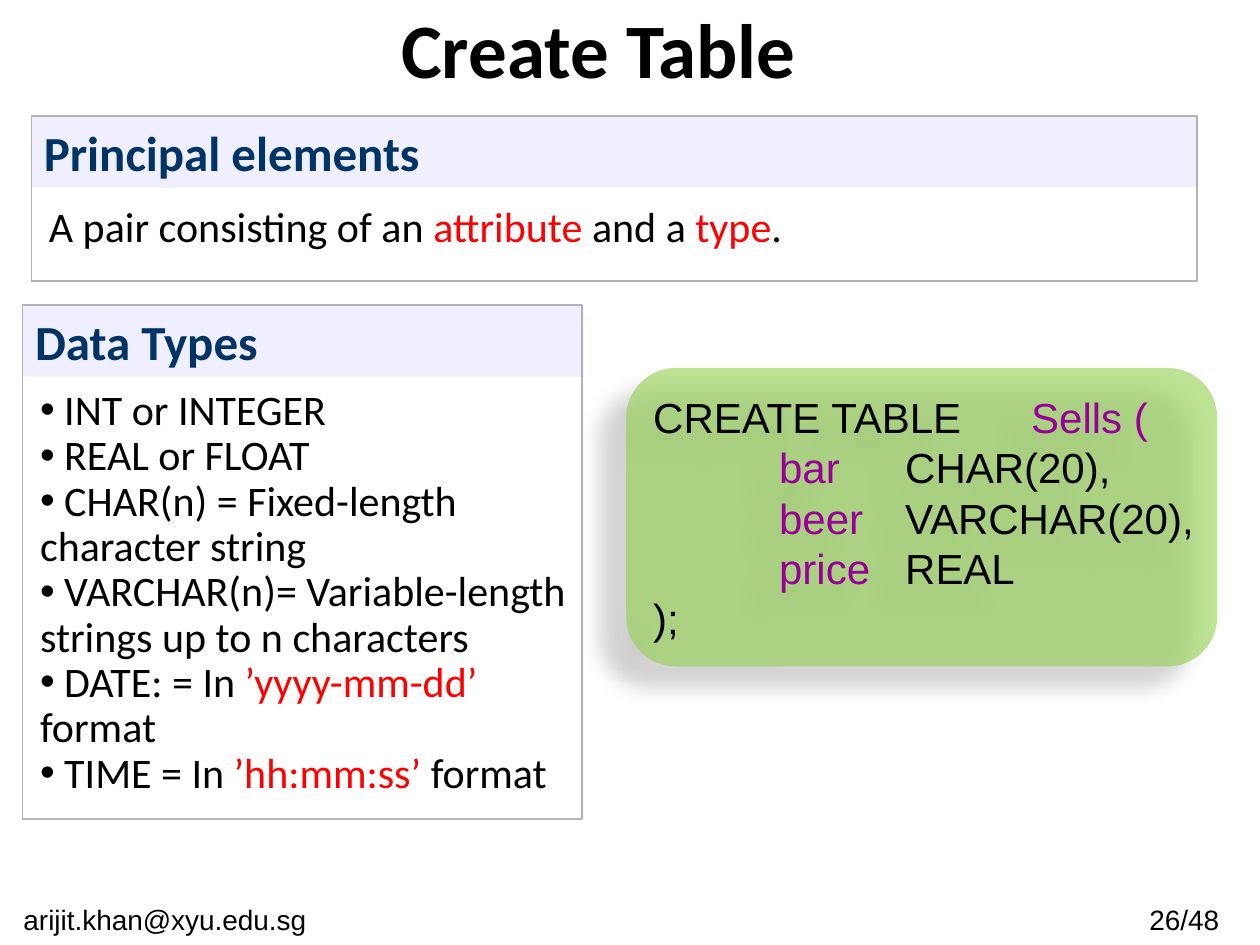
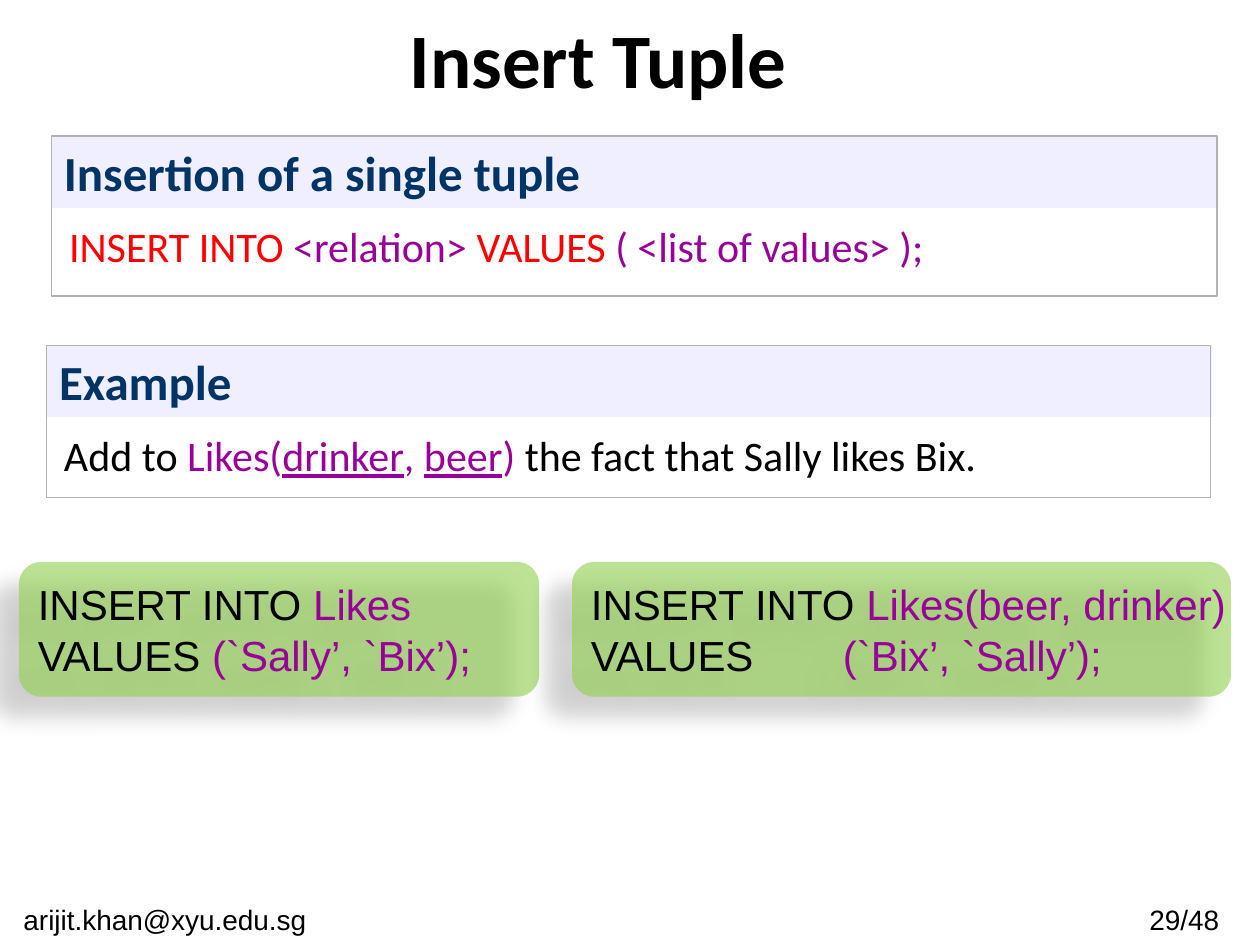
from lxml.etree import SubElement
from pptx import Presentation
from pptx.dml.color import RGBColor
from pptx.enum.shapes import MSO_SHAPE as Shape
from pptx.enum.text import MSO_ANCHOR as Anchor, PP_ALIGN as Align
from pptx.oxml.ns import qn
from pptx.util import Inches, Pt

WIDTH, HEIGHT = Inches(10), Inches(7.5)
COLUMNS, ROWS = 100, 75
BLACK, RED, PURPLE, NAVY = "000000", "FF0000", "990099", "003366"
LAVENDER, GREY, GREEN = "EFEFFF", "B2B2B2", "92D050"
HEADING_FONT, CODE_FONT = "Calibri", "Arial"
HEADER_ROWS, BODY_OFFSET = 5.7, 6.2
CODE_TABS = (10, 20, 30)
CONTACT = "arijit.khan@xyu.edu.sg "
PAGE_COUNT = 48


def rgb(value):
    """Turn a hex string into a colour."""
    return RGBColor.from_string(value)


def area(left, top, columns, rows):
    """Turn grid columns and rows into slide lengths."""
    column, row = WIDTH / COLUMNS, HEIGHT / ROWS
    return [round(n) for n in (left * column, top * row, columns * column, rows * row)]


def add_xml(parent, tag, **attributes):
    """Append a drawing element with its attributes."""
    return SubElement(parent, qn(tag), {key: str(value) for key, value in attributes.items()})


def write(frame, paragraphs, size=24, font=HEADING_FONT, color=BLACK, bold=False,
          align=Align.LEFT, anchor=Anchor.TOP, wrap=True, spacing=None, bullet=None,
          tabs=()):
    """Write paragraphs of runs, each a string or (string, colour, underline)."""
    frame.word_wrap, frame.vertical_anchor = wrap, anchor
    for index, runs in enumerate(paragraphs):
        paragraph = frame.paragraphs[0] if index == 0 else frame.add_paragraph()
        paragraph.alignment = align
        if spacing:
            paragraph.line_spacing = spacing
        properties = paragraph._p.get_or_add_pPr()
        if bullet:
            add_xml(properties, "a:buFont", typeface=CODE_FONT)
            add_xml(properties, "a:buChar", char=bullet)
        if tabs:
            stops = add_xml(properties, "a:tabLst")
            for column in tabs:
                add_xml(stops, "a:tab", pos=round(column * WIDTH / COLUMNS), algn="l")
        for piece in runs:
            words, tint, *underline = (piece, color) if isinstance(piece, str) else piece
            run = paragraph.add_run()
            run.text = words
            run.font.name, run.font.size, run.font.bold = font, Pt(size), bold
            run.font.color.rgb = rgb(tint)
            run.font.underline = bool(underline)


def add_text(slide, place, paragraphs, **style):
    """Add a text box on the grid."""
    write(slide.shapes.add_textbox(*area(*place)).text_frame, paragraphs, **style)


def add_box(slide, place, kind=Shape.RECTANGLE, fill=None, line=None):
    """Add a flat shape with an optional fill and outline."""
    box = slide.shapes.add_shape(kind, *area(*place))
    box.shadow.inherit = False
    if fill:
        box.fill.solid()
        box.fill.fore_color.rgb = rgb(fill)
    else:
        box.fill.background()
    if line:
        box.line.color.rgb = rgb(line)
        box.line.width = Pt(0.75)
    else:
        box.line.fill.background()
    return box


def add_panel(slide, place, heading, paragraphs, **style):
    """Add a framed panel with a tinted heading and a body."""
    left, top, columns, rows = place
    header = add_box(slide, (left, top, columns + 0.1, HEADER_ROWS), fill=LAVENDER)
    write(header.text_frame, [[heading]], size=28, color=NAVY, bold=True)
    add_box(slide, place, line=GREY)
    add_text(slide, (left + 0.4, top + BODY_OFFSET, columns, rows - BODY_OFFSET),
             paragraphs, **style)


def add_code(slide, place, lines):
    """Add a translucent green code card with a soft shadow."""
    card = add_box(slide, place, Shape.ROUNDED_RECTANGLE, fill=GREEN)
    properties = card._element.spPr
    add_xml(properties.find(".//" + qn("a:srgbClr")), "a:alpha", val=61000)
    shadow = add_xml(properties.find(qn("a:effectLst")), "a:outerShdw", blurRad=Pt(11.8),
                     dist=Pt(19.7), dir=141 * 60000, algn="ctr", rotWithShape=0)
    add_xml(add_xml(shadow, "a:srgbClr", val=BLACK), "a:alpha", val=28000)
    write(card.text_frame, lines, font=CODE_FONT, anchor=Anchor.MIDDLE, wrap=False,
          tabs=CODE_TABS)


def add_slide(deck, title, page, title_top):
    """Add a titled slide with contact and page footers."""
    slide = deck.slides.add_slide(deck.slide_layouts[5])
    heading = slide.shapes.title
    heading.left, heading.top, heading.width, heading.height = area(2.5, title_top, 90, 7.5)
    write(heading.text_frame, [[title]], size=44, bold=True,
          align=Align.CENTER, anchor=Anchor.MIDDLE)
    for left, columns, words in ((0, 26.8, CONTACT), (88.5, 11.6, f"{page}/{PAGE_COUNT} ")):
        add_text(slide, (left, 71.1, columns, 3.9), [[words]], size=16,
                 font=CODE_FONT, align=Align.CENTER)
    return slide


def build_create_table(deck):
    """Build the slide on creating a table."""
    slide = add_slide(deck, "Create Table", 26, 0)
    add_panel(slide, (2.5, 9.2, 92.5, 13.1), "Principal elements", [
        ["A pair consisting of an ", ("attribute", RED), " and a ", ("type", RED), "."]])
    add_panel(slide, (1.8, 24.2, 44.4, 40.8), "Data Types", [
        [" INT or INTEGER"],
        [" REAL or FLOAT"],
        [" CHAR(n) = Fixed-length character string"],
        [" VARCHAR(n)= Variable-length strings up to n characters"],
        [" DATE: = In ", ("’yyyy-mm-dd’", RED), " format"],
        [" TIME = In ", ("’hh:mm:ss’ ", RED), "format"],
    ], spacing=0.9, bullet="•")
    fields = (("bar", "CHAR(20),"), ("beer", "VARCHAR(20),"), ("price", "REAL"))
    add_code(slide, (49.7, 29.2, 46.9, 23.7), [
        ["CREATE TABLE \t", ("Sells (", PURPLE)],
        *[["\t", (name + "\t", PURPLE), kind] for name, kind in fields],
        [");"]])


def build_insert_tuple(deck):
    """Build the slide on inserting a tuple."""
    slide = add_slide(deck, "Insert Tuple", 29, 0.8)
    add_panel(slide, (4.1, 10.8, 92.5, 12.7), "Insertion of a single tuple", [
        [("INSERT INTO ", RED), ("<relation> ", PURPLE), ("VALUES ", RED),
         ("( <list of values> );", PURPLE)]])
    add_panel(slide, (3.7, 27.4, 92.4, 12.1), "Example", [
        ["Add to ", ("Likes(", PURPLE), ("drinker", PURPLE, True), (", ", PURPLE),
         ("beer", PURPLE, True), (")", PURPLE), " the fact that Sally likes Bix."]])
    statements = ((1.5, 41.3, "Likes", " ", "(`Sally’, `Bix’);"),
                  (45.4, 52.3, "Likes(beer, drinker)", "\t", "(`Bix’, `Sally’);"))
    for left, columns, relation, gap, values in statements:
        add_code(slide, (left, 44.6, columns, 10.7), [
            ["INSERT INTO ", (relation, PURPLE)],
            ["VALUES" + gap, (values, PURPLE)]])


def main():
    """Build and save the presentation."""
    deck = Presentation()
    deck.slide_width, deck.slide_height = WIDTH, HEIGHT
    build_create_table(deck)
    build_insert_tuple(deck)
    deck.save("out.pptx")


if __name__ == "__main__":
    main()
